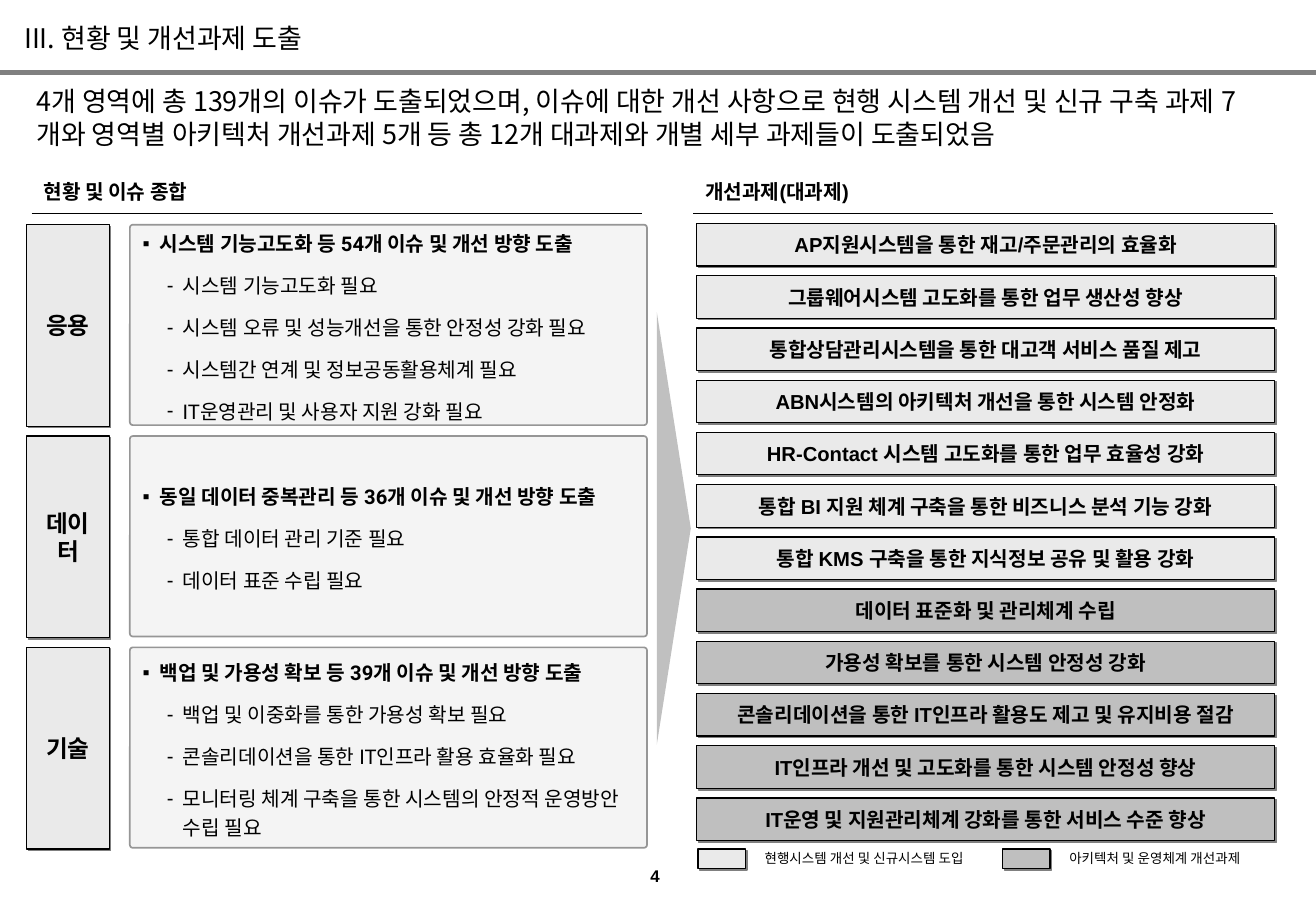
import dataclasses

import pptx
import pptx.dml.color
import pptx.enum.shapes
import pptx.enum.text
import pptx.oxml
import pptx.oxml.ns
import pptx.util

Inches = pptx.util.Inches
Pt = pptx.util.Pt
SHAPES = pptx.enum.shapes.MSO_SHAPE
ALIGN = pptx.enum.text.PP_ALIGN
ANCHOR = pptx.enum.text.MSO_ANCHOR


@dataclasses.dataclass(frozen=True)
class Theme:
    latin: str = "Arial"
    card_latin: str = "Roboto"
    korean: str = "Noto Sans CJK KR"
    black: str = "000000"
    rule: str = "808080"
    shadow: str = "808080"
    system_fill: str = "EAEAEA"
    architecture_fill: str = "BFBFBF"
    card_fill: str = "DDDDDD"
    card_line: str = "969696"
    arrow_fill: str = "C0C0C0"
    title_size: int = 16
    label_size: int = 14
    body_size: int = 12
    page_size: int = 10
    legend_size: int = 8


THEME = Theme()

AREAS = [
    ("응용", "시스템 기능고도화 등 54개 이슈 및 개선 방향 도출", [
        "시스템 기능고도화 필요",
        "시스템 오류 및 성능개선을 통한 안정성 강화 필요",
        "시스템간 연계 및 정보공동활용체계 필요",
        "IT운영관리 및 사용자 지원 강화 필요"]),
    ("데이터", "동일 데이터 중복관리 등 36개 이슈 및 개선 방향 도출", [
        "통합 데이터 관리 기준 필요",
        "데이터 표준 수립 필요"]),
    ("기술", "백업 및 가용성 확보 등 39개 이슈 및 개선 방향 도출", [
        "백업 및 이중화를 통한 가용성 확보 필요",
        "콘솔리데이션을 통한 IT인프라 활용 효율화 필요",
        "모니터링 체계 구축을 통한 시스템의 안정적 운영방안 수립 필요"]),
]
SYSTEM_TASKS = [
    "AP지원시스템을 통한 재고/주문관리의 효율화",
    "그룹웨어시스템 고도화를 통한 업무 생산성 향상",
    "통합상담관리시스템을 통한 대고객 서비스 품질 제고",
    "ABN시스템의 아키텍처 개선을 통한 시스템 안정화",
    "HR-Contact 시스템 고도화를 통한 업무 효율성 강화",
    "통합 BI 지원 체계 구축을 통한 비즈니스 분석 기능 강화",
    "통합 KMS 구축을 통한 지식정보 공유 및 활용 강화",
]
ARCHITECTURE_TASKS = [
    "데이터 표준화 및 관리체계 수립",
    "가용성 확보를 통한 시스템 안정성 강화",
    "콘솔리데이션을 통한 IT인프라 활용도 제고 및 유지비용 절감",
    "IT인프라 개선 및 고도화를 통한 시스템 안정성 향상",
    "IT운영 및 지원관리체계 강화를 통한 서비스 수준 향상",
]
SUMMARY = ("4개 영역에 총 139개의 이슈가 도출되었으며, 이슈에 대한 개선 사항으로 현행 시스템 개선 및 "
           "신규 구축 과제 7개와 영역별 아키텍처 개선과제 5개 등 총 12개 대과제와 개별 세부 과제들이 도출되었음")


def color(value):
    return pptx.dml.color.RGBColor.from_string(value)


def add_xml(parent, tag, **attributes):
    element = pptx.oxml.parse_xml(f"<a:{tag} {pptx.oxml.ns.nsdecls('a')}/>")
    for name, value in attributes.items():
        element.set(name, str(value))
    parent.append(element)
    return element


def format_paragraph(paragraph, size, latin=THEME.latin, bold=False, align=ALIGN.LEFT):
    paragraph.alignment = align
    for run in paragraph.runs:
        run.font.size = Pt(size)
        run.font.bold = bold
        run.font.name = latin
        run.font.color.rgb = color(THEME.black)
        add_xml(run.font._element, "ea", typeface=THEME.korean)


def set_text(shape, text, size, anchor=ANCHOR.TOP, wrap=True, **style):
    frame = shape.text_frame
    frame.text = text
    frame.word_wrap = wrap
    frame.auto_size = pptx.enum.text.MSO_AUTO_SIZE.NONE
    frame.vertical_anchor = anchor
    format_paragraph(frame.paragraphs[0], size, **style)
    return frame


def add_text(slide, box, text, size, **style):
    shape = slide.shapes.add_textbox(*map(Inches, box))
    return set_text(shape, text, size, **style)


def add_rule(slide, left, right, y, line_color, width):
    line = slide.shapes.add_connector(
        pptx.enum.shapes.MSO_CONNECTOR.STRAIGHT,
        Inches(left), Inches(y), Inches(right), Inches(y))
    line.line.color.rgb = color(line_color)
    line.line.width = Pt(width)
    add_xml(line._element.spPr, "effectLst")


def add_filled(slide, kind, box, fill, line_color=None, width=0.75):
    shape = slide.shapes.add_shape(kind, *map(Inches, box))
    shape.fill.solid()
    shape.fill.fore_color.rgb = color(fill)
    if line_color:
        shape.line.color.rgb = color(line_color)
        shape.line.width = Pt(width)
    else:
        shape.line.fill.background()
    shape.shadow.inherit = False
    return shape


def add_block(slide, box, fill, text="", size=THEME.body_size):
    """Outlined rectangle with a hard shadow and centred bold text."""
    shape = add_filled(slide, SHAPES.RECTANGLE, box, fill, THEME.black)
    effects = shape._element.spPr.find(pptx.oxml.ns.qn("a:effectLst"))
    shadow = add_xml(effects, "outerShdw", dist=Pt(1.4), dir=45 * 60000,
                     algn="ctr", rotWithShape=0)
    add_xml(shadow, "srgbClr", val=THEME.shadow)
    if text:
        set_text(shape, text, size, anchor=ANCHOR.MIDDLE, bold=True, align=ALIGN.CENTER)


def set_bullet(paragraph, character, margin, hanging):
    paragraph.line_spacing = 1.2
    paragraph.space_before = Pt(7.5)
    properties = paragraph._p.get_or_add_pPr()
    properties.set("marL", str(Inches(margin)))
    properties.set("indent", str(-Inches(hanging)))
    add_xml(add_xml(properties, "buClr"), "srgbClr", val=THEME.black)
    add_xml(properties, "buFont", typeface=THEME.latin)
    add_xml(properties, "buChar", char=character)


def add_issue_card(slide, box, heading, issues):
    card = add_filled(slide, SHAPES.ROUNDED_RECTANGLE, box, THEME.card_fill, THEME.card_line, 1)
    card.adjustments[0] = 0.015
    fill_color = card._element.spPr.find(".//" + pptx.oxml.ns.qn("a:srgbClr"))
    add_xml(fill_color, "alpha", val=30000)
    frame = set_text(card, heading, THEME.body_size, anchor=ANCHOR.MIDDLE,
                     latin=THEME.card_latin, bold=True)
    set_bullet(frame.paragraphs[0], "▪", 0.14, 0.14)
    for issue in issues:
        paragraph = frame.add_paragraph()
        paragraph.text = issue
        paragraph.level = 1
        format_paragraph(paragraph, THEME.body_size, THEME.card_latin)
        set_bullet(paragraph, "-", 0.33, 0.13)


def add_column_header(slide, left, right, text):
    add_rule(slide, left, right, 1.76, THEME.black, 0.75)
    add_text(slide, (left, 1.43, 3.4, 0.3), text, THEME.body_size, bold=True)


def add_title(slide, text):
    title = slide.shapes.title
    title.left, title.top, title.width, title.height = map(Inches, (0.1, 0.13, 5.24, 0.37))
    set_text(title, text, THEME.title_size, latin=THEME.korean)


def add_summary(slide):
    frame = add_text(slide, (0.3, 0.7, 10.24, 0.69), SUMMARY, THEME.title_size, latin=THEME.korean)
    frame.margin_left = frame.margin_right = frame.margin_top = frame.margin_bottom = 0
    frame.paragraphs[0].space_before = frame.paragraphs[0].space_after = Pt(2)


def main():
    presentation = pptx.Presentation()
    presentation.slide_width, presentation.slide_height = Inches(10.84), Inches(7.5)
    slide = presentation.slides.add_slide(presentation.slide_layouts[5])

    add_title(slide, "III. 현황 및 개선과제 도출")
    add_rule(slide, 0, 10.84, 0.6, THEME.rule, 3)
    add_summary(slide)
    add_column_header(slide, 0.26, 5.29, "현황 및 이슈 종합")
    add_column_header(slide, 5.71, 10.49, "개선과제(대과제)")

    for row, (area, heading, issues) in enumerate(AREAS):
        top = 1.85 + 1.74 * row
        add_block(slide, (0.22, top, 0.68, 1.66), THEME.system_fill, area, THEME.label_size)
        add_issue_card(slide, (1.07, top, 4.26, 1.65), heading, issues)

    arrow = add_filled(slide, SHAPES.ISOSCELES_TRIANGLE, (3.77, 4.21, 3.56, 0.28), THEME.arrow_fill)
    arrow.rotation = 90

    for row, task in enumerate(SYSTEM_TASKS + ARCHITECTURE_TASKS):
        fill = THEME.system_fill if row < len(SYSTEM_TASKS) else THEME.architecture_fill
        add_block(slide, (5.74, 1.84 + 0.43 * row, 4.76, 0.35), fill, task)

    legend = [(5.75, THEME.system_fill, "현행시스템 개선 및 신규시스템 도입"),
              (8.26, THEME.architecture_fill, "아키텍처 및 운영체계 개선과제")]
    for left, fill, text in legend:
        add_block(slide, (left, 6.99, 0.39, 0.16), fill)
        add_text(slide, (left + 0.45, 6.95, 2.12, 0.24), text, THEME.legend_size)

    add_text(slide, (4.94, 7.08, 0.91, 0.27), "4", THEME.page_size,
             wrap=False, bold=True, align=ALIGN.CENTER)
    presentation.save("out.pptx")


if __name__ == "__main__":
    main()
